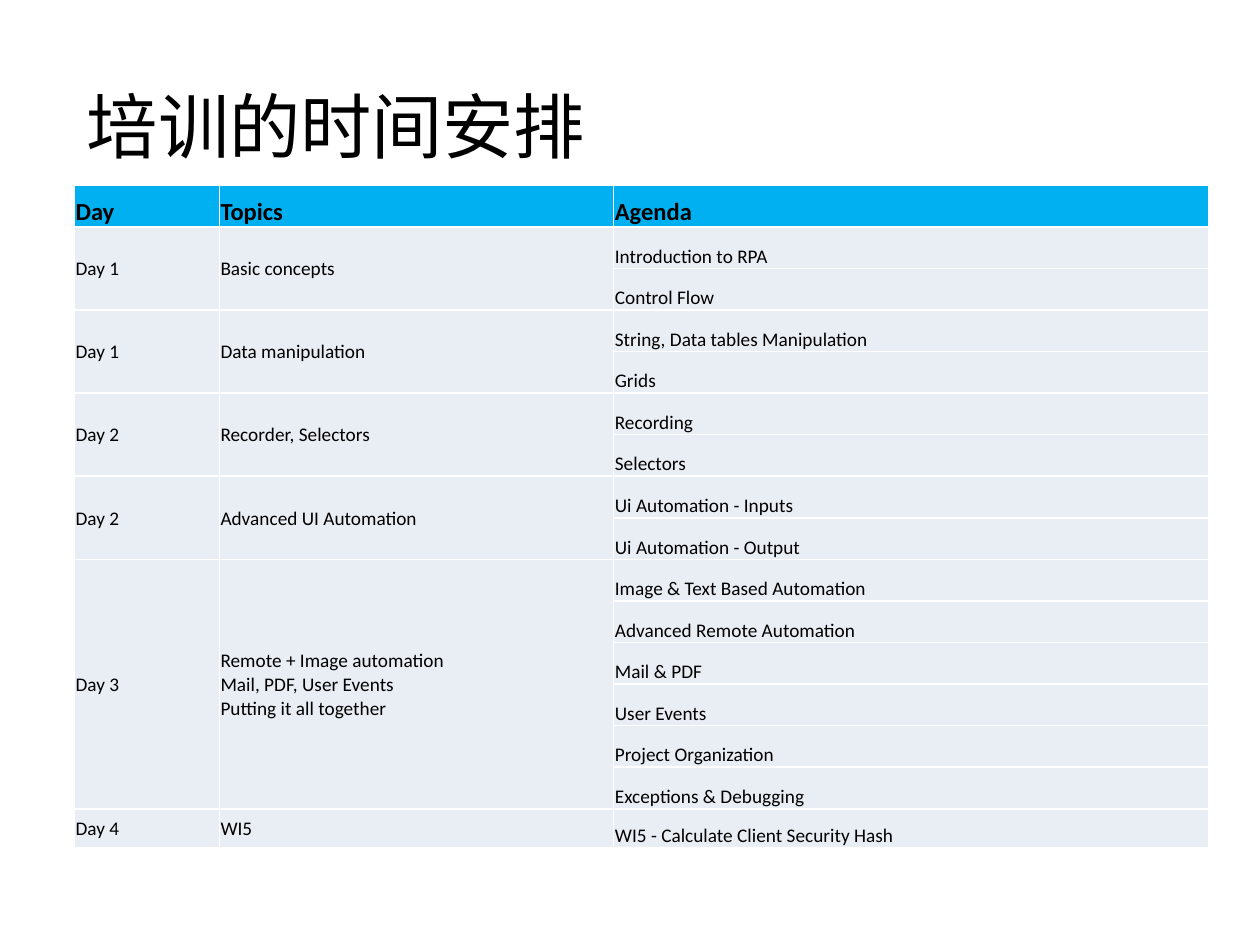
from pptx import Presentation
from pptx import util as u
from pptx.dml.color import RGBColor
from pptx.enum import text
from pptx.oxml import parse_xml
from pptx.oxml.ns import nsdecls

BLACK = RGBColor(0x00, 0x00, 0x00)
HEADER_BLUE = RGBColor(0x00, 0xB0, 0xF0)
BODY_GREY = RGBColor(0xE9, 0xED, 0xF4)
BORDER_WHITE = RGBColor(0xFF, 0xFF, 0xFF)
FONT = "Calibri"

HEADINGS = ["Day", "Topics", "Agenda"]
COLUMN_WIDTHS = [1.15, 3.13, 4.72]
ROW_HEIGHT, LAST_ROW_HEIGHT = 0.33, 0.31

# Each session: day, topics, agenda items (one table row per item)
SESSIONS = [
    ("Day 1", "Basic concepts", ["Introduction to RPA", "Control Flow"]),
    ("Day 1", "Data manipulation",
     ["String, Data tables Manipulation", "Grids"]),
    ("Day 2", "Recorder, Selectors", ["Recording", "Selectors"]),
    ("Day 2", "Advanced UI Automation",
     ["Ui Automation - Inputs", "Ui Automation - Output"]),
    ("Day 3",
     "Remote + Image automation\nMail, PDF, User Events\nPutting it all together",
     ["Image & Text Based Automation", "Advanced Remote Automation",
      "Mail & PDF", "User Events", "Project Organization",
      "Exceptions & Debugging"]),
    ("Day 4", "WI5", ["WI5 - Calculate Client Security Hash"]),
]


def write_text(frame, content, size=11, bold=False, color=BLACK):
    """Fill a text frame, one paragraph per line of content."""
    frame.text = content
    for paragraph in frame.paragraphs:
        paragraph.alignment = text.PP_ALIGN.LEFT
        for run in paragraph.runs:
            run.font.name = FONT
            run.font.size = u.Pt(size)
            run.font.bold = bold
            run.font.color.rgb = color


def add_borders(cell):
    properties = cell._tc.get_or_add_tcPr()
    for position, side in enumerate(("lnL", "lnR", "lnT", "lnB")):
        line = parse_xml(
            f'<a:{side} {nsdecls("a")} w="{u.Pt(1)}"><a:solidFill>'
            f'<a:srgbClr val="{BORDER_WHITE}"/></a:solidFill></a:{side}>')
        properties.insert(position, line)


def format_cell(cell, fill):
    cell.fill.solid()
    cell.fill.fore_color.rgb = fill
    cell.margin_left = cell.margin_right = cell.margin_top = u.Inches(0.01)
    cell.margin_bottom = 0
    cell.vertical_anchor = text.MSO_ANCHOR.BOTTOM
    add_borders(cell)


def add_title(slide, content):
    title = slide.shapes.title
    title.left, title.top = u.Inches(0.59), u.Inches(0.6)
    title.width, title.height = u.Inches(4.42), u.Inches(1.09)
    title.text_frame.vertical_anchor = text.MSO_ANCHOR.TOP
    write_text(title.text_frame, content, size=40.7)


def add_schedule(slide):
    row_count = 1 + sum(len(agenda) for _, _, agenda in SESSIONS)
    table = slide.shapes.add_table(
        row_count, len(HEADINGS), u.Inches(0.59), u.Inches(1.47),
        u.Inches(sum(COLUMN_WIDTHS)), u.Inches(5.2)).table

    # Grid
    for column, width in zip(table.columns, COLUMN_WIDTHS):
        column.width = u.Inches(width)
    for index, row in enumerate(table.rows):
        is_last = index == row_count - 1
        row.height = u.Inches(LAST_ROW_HEIGHT if is_last else ROW_HEIGHT)
        for cell in row.cells:
            format_cell(cell, BODY_GREY if index else HEADER_BLUE)

    # Header row
    for column, heading in enumerate(HEADINGS):
        write_text(table.cell(0, column).text_frame, heading, size=14, bold=True)

    # Sessions, with day and topics merged over their agenda rows
    first = 1
    for day, topics, agenda in SESSIONS:
        last = first + len(agenda) - 1
        for column, content in enumerate((day, topics)):
            cell = table.cell(first, column)
            if last > first:
                cell.merge(table.cell(last, column))
            cell.vertical_anchor = text.MSO_ANCHOR.MIDDLE
            write_text(cell.text_frame, content)
        for offset, item in enumerate(agenda):
            write_text(table.cell(first + offset, 2).text_frame, item)
        first = last + 1


def main():
    presentation = Presentation()
    presentation.slide_width = u.Inches(10)
    presentation.slide_height = u.Inches(7.5)
    slide = presentation.slides.add_slide(presentation.slide_layouts[5])
    add_title(slide, "培训的时间安排")
    add_schedule(slide)
    presentation.save("out.pptx")


main()
